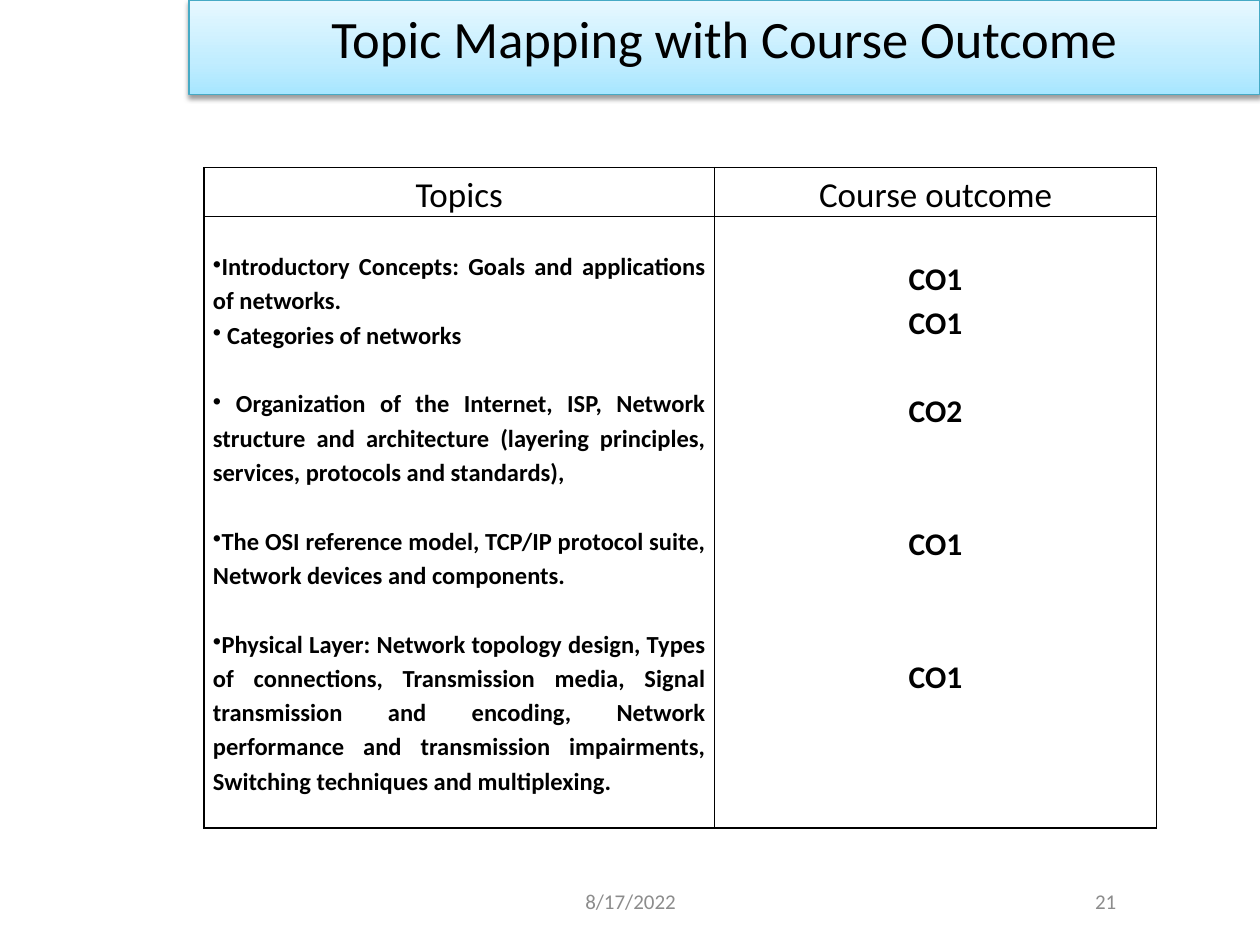
from lxml import etree
from pptx import Presentation
from pptx.dml.color import RGBColor
from pptx.enum.shapes import MSO_SHAPE
from pptx.enum.text import MSO_ANCHOR, PP_ALIGN
from pptx.oxml import parse_xml
from pptx.oxml.ns import qn
from pptx.util import Inches, Pt

RECT = MSO_SHAPE.RECTANGLE
TOP, MIDDLE = MSO_ANCHOR.TOP, MSO_ANCHOR.MIDDLE
CENTER, JUSTIFY = PP_ALIGN.CENTER, PP_ALIGN.JUSTIFY
A = 'xmlns:a="http://schemas.openxmlformats.org/drawingml/2006/main"'
COLORS = {"ink": "000000", "footer": "8C8C8C", "edge": "46AAC5",
          "deep": "A7E6FF", "mid": "C1EDFF", "pale": "E7F8FF"}
COLS, ROWS = 100, 75  # grid of the slide

TOPIC_GAP, OUTCOME_GAP = 19.65, 25.26  # height of one text line, points
# (text, blank lines above)
TOPICS = [
    ("Introductory Concepts: Goals and applications of networks.", 0),
    (" Categories of networks", 0),
    (" Organization of the Internet, ISP, Network structure and architecture "
     "(layering principles, services, protocols and standards),", 1),
    ("The OSI reference model, TCP/IP protocol suite, Network devices and components.", 1),
    ("Physical Layer: Network topology design, Types of connections, Transmission media, "
     "Signal transmission and encoding, Network performance and transmission impairments, "
     "Switching techniques and multiplexing.", 1),
]
OUTCOMES = [("CO1", 0), ("CO1", 0), ("CO2", 1), ("CO1", 2), ("CO1", 2)]


class SlideBuilder:
    font = "Calibri"

    def __init__(self, prs):
        self.s = prs.slides.add_slide(prs.slide_layouts[6])
        self.cw, self.rh = prs.slide_width / COLS, prs.slide_height / ROWS

    def box(self, x, y, w, h):
        return [round(v) for v in (x * self.cw, y * self.rh, w * self.cw, h * self.rh)]

    def paragraphs(self, tf, lines, size, color="ink", bold=False, align=CENTER,
                   spacing=None, gap=0, bullet=None):
        for i, (text, blanks) in enumerate(lines):
            p = tf.add_paragraph() if i else tf.paragraphs[0]
            if bullet:
                pPr = p._p.get_or_add_pPr()
                etree.SubElement(pPr, qn("a:buChar")).set("char", bullet)
            p.alignment = align
            if spacing:
                p.line_spacing = spacing
            if blanks:
                p.space_before = Pt(blanks * gap)
            r = p.add_run()
            r.text = text
            for name, value in {"name": self.font, "size": Pt(size), "bold": bold}.items():
                setattr(r.font, name, value)
            r.font.color.rgb = RGBColor.from_string(COLORS[color])

    def text(self, text, x, y, w, h, **style):
        tf = self.s.shapes.add_textbox(*self.box(x, y, w, h)).text_frame
        tf.word_wrap = True
        tf.vertical_anchor = MIDDLE
        self.paragraphs(tf, [(text, 0)], **style)

    def banner(self, text, x, y, w, h, stops, **style):
        sp = self.s.shapes.add_shape(RECT, *self.box(x, y, w, h))
        spPr = sp._element.spPr
        gs = "".join(f'<a:gs pos="{pos * 1000}"><a:srgbClr val="{COLORS[c]}"/></a:gs>'
                     for pos, c in stops)
        spPr.append(parse_xml(f'<a:gradFill {A} rotWithShape="1"><a:gsLst>{gs}</a:gsLst>'
                              '<a:lin ang="16200000" scaled="0"/></a:gradFill>'))
        sp.line.color.rgb = RGBColor.from_string(COLORS["edge"])
        sp.line.width = Pt(0.75)
        spPr.append(parse_xml(
            f'<a:effectLst {A}><a:outerShdw blurRad="{Pt(3.1)}" dist="{Pt(1.6)}" '
            f'dir="5400000" rotWithShape="0"><a:srgbClr val="{COLORS["ink"]}">'
            '<a:alpha val="38000"/></a:srgbClr></a:outerShdw></a:effectLst>'))
        sp.text_frame.vertical_anchor = TOP
        self.paragraphs(sp.text_frame, [(text, 0)], **style)

    def table(self, x, y, widths, heights, cells):
        frame = self.s.shapes.add_table(len(heights), len(widths),
                                        *self.box(x, y, sum(widths), sum(heights)))
        tbl = frame.table
        for col, w in zip(tbl.columns, widths):
            col.width = round(w * self.cw)
        for row, h, contents in zip(tbl.rows, heights, cells):
            row.height = round(h * self.rh)
            for cell, content in zip(row.cells, contents):
                self.cell(cell, **content)

    def cell(self, cell, lines, anchor=MIDDLE, top=0, **style):
        margins = {"margin_left": 0.07, "margin_right": 0.07,
                   "margin_top": top, "margin_bottom": 0}
        for name, value in margins.items():
            setattr(cell, name, Inches(value))
        cell.vertical_anchor = anchor
        tcPr = cell._tc.get_or_add_tcPr()
        for side in "LRTB":
            tcPr.append(parse_xml(
                f'<a:ln{side} {A} w="{Pt(1)}"><a:solidFill>'
                f'<a:srgbClr val="{COLORS["ink"]}"/></a:solidFill></a:ln{side}>'))
        cell.fill.background()
        self.paragraphs(cell.text_frame, lines, spacing=1.15, **style)


def main():
    prs = Presentation()
    prs.slide_width, prs.slide_height = Inches(10), Inches(7.5)
    slide = SlideBuilder(prs)

    # Footer: date and slide number
    for text, x in (("8/17/2022", 34.2), ("21", 71.9)):
        slide.text(text, x, 69.5, 31.7, 4, size=12, color="footer")

    # Title banner
    slide.banner("Topic Mapping with Course Outcome", 15, 0, 85, 7.5,
                 stops=[(0, "deep"), (35, "mid"), (100, "pale")], size=30)

    # Topics against course outcomes
    header = [{"lines": [(name, 0)], "size": 20} for name in ("Topics", "Course outcome")]
    body = [
        {"lines": TOPICS, "size": 14, "bold": True, "align": JUSTIFY,
         "gap": TOPIC_GAP, "bullet": "•"},
        {"lines": OUTCOMES, "size": 18, "bold": True, "gap": OUTCOME_GAP,
         "anchor": TOP, "top": 0.3},
    ]
    slide.table(16.2, 13.3, [40.5, 35.1], [3.9, 48.5], [header, body])

    prs.save("out.pptx")


if __name__ == "__main__":
    main()
